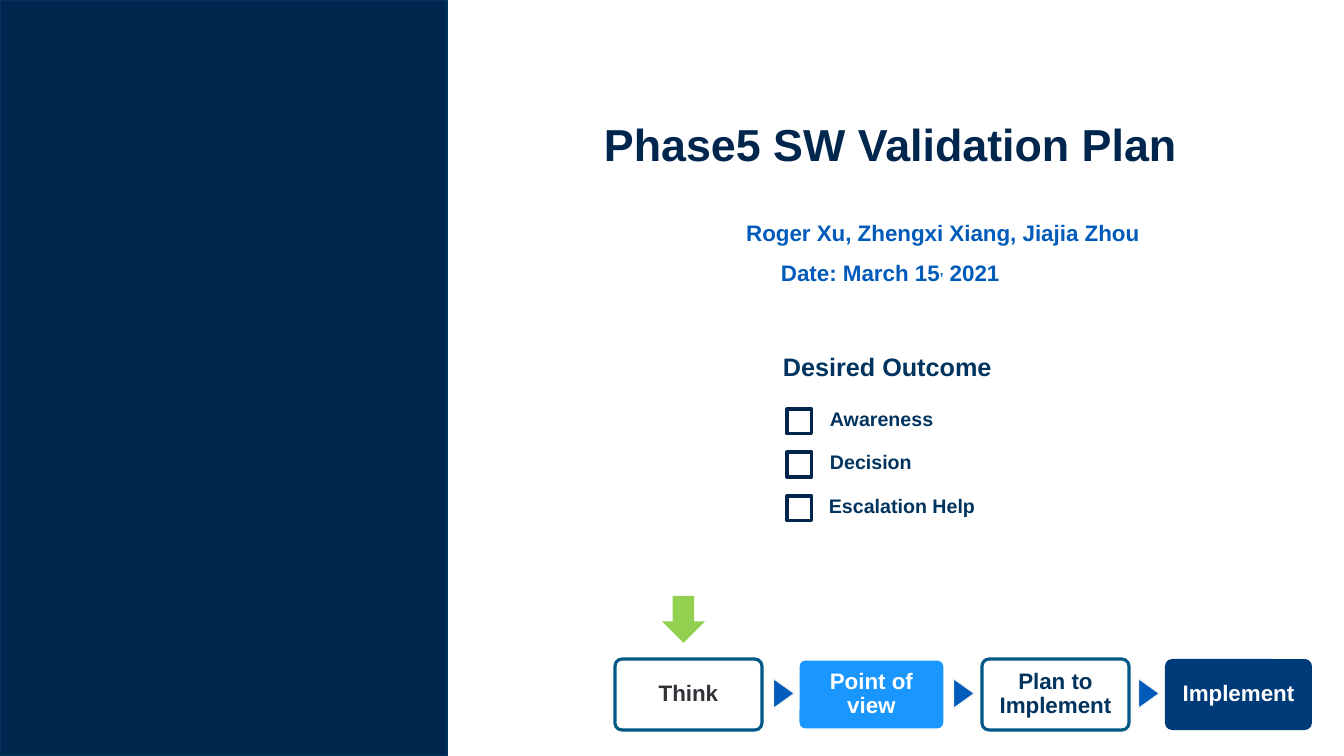
from pptx import Presentation, util as u
from pptx.dml.color import RGBColor
from pptx.enum import shapes, text

PX = 914400 / 100.8
HUE = {
    "navy": "00264E", "edge": "00335D", "ink": "00345E", "blue": "005BBA",
    "sky": "1997FF", "deep": "003B79", "teal": "015886", "gray": "2F3338",
    "pale": "F2F2F2", "green": "92D050", "white": "FFFFFF",
}
FORM = shapes.MSO_SHAPE
MID = text.PP_ALIGN.CENTER
LEFT = text.PP_ALIGN.LEFT

deck = Presentation()
deck.slide_width, deck.slide_height = u.Inches(13.333), u.Inches(7.5)
slide = deck.slides.add_slide(deck.slide_layouts[6])


def draw(form, spot, fill=None, line=None, width=1):
    item = slide.shapes.add_shape(form, *[round(n * PX) for n in spot])
    item.shadow.inherit = False
    for part, hue in ((item.fill, fill), (item.line.fill, line)):
        if hue:
            part.solid()
            part.fore_color.rgb = RGBColor.from_string(HUE[hue])
        else:
            part.background()
    if line:
        item.line.width = u.Pt(width)
    return item


def write(words, size, hue, spot=None, item=None, align=LEFT):
    item = item or slide.shapes.add_textbox(*[round(n * PX) for n in spot])
    frame = item.text_frame
    frame.word_wrap = True
    frame.vertical_anchor = text.MSO_ANCHOR.MIDDLE
    para = frame.paragraphs[0]
    para.alignment = align
    for word in words:
        run = para.add_run()
        run.text = word
        look = {"name": "Arial", "size": u.Pt(size), "bold": True}
        for key, value in look.items():
            setattr(run.font, key, value)
        run.font.color.rgb = RGBColor.from_string(HUE[hue])
    return frame


draw(FORM.RECTANGLE, (0, 0, 447, 756), "navy", "edge")

write(["Phase5 SW Validation Plan"], 32, "navy", (594, 84, 750, 119))
write(["Roger Xu, Zhengxi Xiang, Jiajia Zhou"], 16, "blue", (726, 201, 434, 64), align=MID)
date = write(["Date: March 15", ",", " 2021"], 16, "blue", (771, 241, 345, 64))
date.paragraphs[0].runs[1].font._element.set("baseline", "30000")
write(["Desired Outcome"], 18, "ink", (773, 334, 345, 64))

goals = [("Awareness", 820), ("Decision", 820), ("Escalation Help", 819)]
for i, (goal, left) in enumerate(goals):
    top = 409 + 87 * i // 2
    draw(FORM.RECTANGLE, (787, top, 25, 25), None, "navy", 2.25)
    write([goal], 14, "ink", (left, top - 22, 244, 64))

steps = [
    ("Think", None, "teal", "gray"),
    ("Point of view", "sky", "white", "white"),
    ("Plan to Implement", None, "teal", "ink"),
    ("Implement", "deep", None, "white"),
]
for i, (step, fill, line, hue) in enumerate(steps):
    box = draw(FORM.ROUNDED_RECTANGLE, (615 + 367 * i // 2, 659, 147, 71), fill, line, 2.25)
    box.adjustments[0] = 0.1
    frame = write([step], 16, hue, item=box, align=MID)
    frame.paragraphs[0].line_spacing = 0.9
    for side in ("left", "right", "top", "bottom"):
        setattr(frame, "margin_" + side, round(9 * PX))

for left in (769, 949, 1134):
    draw(FORM.ISOSCELES_TRIANGLE, (left, 683, 30, 21), "blue", "pale").rotation = 90

draw(FORM.DOWN_ARROW, (662, 596, 43, 47), "green")

deck.save("out.pptx")
